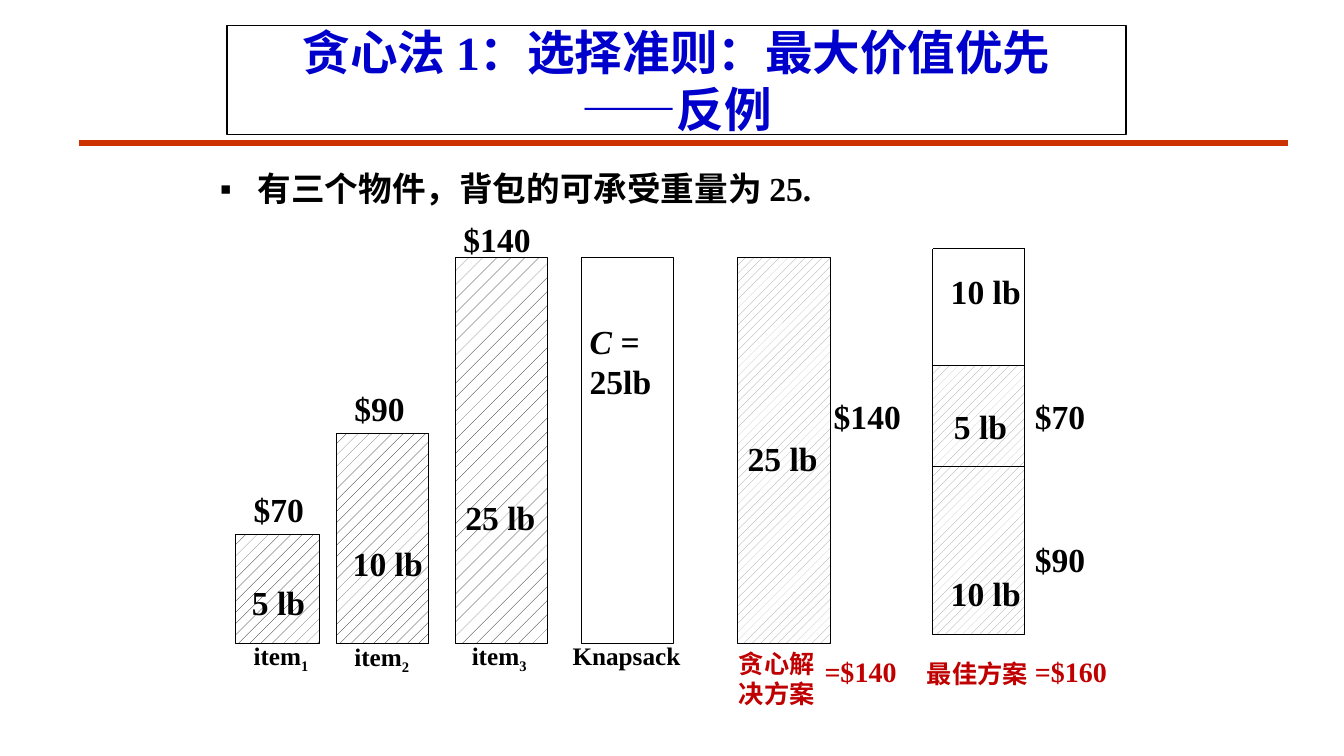
from lxml import etree
from pptx import Presentation
from pptx.dml.color import RGBColor
from pptx.enum.dml import MSO_PATTERN
from pptx.enum.shapes import MSO_CONNECTOR, MSO_SHAPE
from pptx.enum.text import MSO_ANCHOR, MSO_AUTO_SIZE, PP_ALIGN
from pptx.oxml.ns import qn
from pptx.util import Cm, Pt

RECTANGLE = MSO_SHAPE.RECTANGLE
STRAIGHT = MSO_CONNECTOR.STRAIGHT
SPARSE, LIGHT, DENSE = MSO_PATTERN.PERCENT_5, MSO_PATTERN.PERCENT_10, MSO_PATTERN.PERCENT_20
FONT = "Times New Roman"
COLORS = {
    "black": "000000",
    "white": "FFFFFF",
    "gray": "969696",
    "title": "0000CC",
    "rule": "CC3300",
    "result": "C00000",
}


def add_run(paragraph, text, size, color, italic=False):
    run = paragraph.add_run()
    run.text = text
    run.font.name = FONT
    run.font.size = Pt(size)
    run.font.bold = True
    run.font.italic = italic
    run.font.color.rgb = RGBColor.from_string(COLORS[color])
    return run


def add_line(slide, x1, y1, x2, y2, color, width):
    line = slide.shapes.add_connector(STRAIGHT, Cm(x1), Cm(y1), Cm(x2), Cm(y2))
    line.line.color.rgb = RGBColor.from_string(COLORS[color])
    line.line.width = Pt(width)
    etree.SubElement(line._element.spPr, qn("a:effectLst"))


presentation = Presentation()
presentation.slide_width = Cm(33.87)
presentation.slide_height = Cm(19.05)
slide = presentation.slides.add_slide(presentation.slide_layouts[1])

add_line(slide, 1.98, 3.61, 32.46, 3.61, "rule", 4.5)

title = slide.shapes.title
title.left, title.top, title.width, title.height = Cm(5.72), Cm(0.64), Cm(22.66), Cm(2.75)
title.line.color.rgb = RGBColor.from_string(COLORS["black"])
title.line.width = Pt(1)
title.text_frame.auto_size = MSO_AUTO_SIZE.NONE
title.text_frame.vertical_anchor = MSO_ANCHOR.MIDDLE
paragraph = title.text_frame.paragraphs[0]
paragraph.alignment = PP_ALIGN.CENTER
add_run(paragraph, "贪心法 1：选择准则：最大价值优先", 34, "title")
paragraph.add_line_break()
add_run(paragraph, "——反例", 34, "title")

body = slide.placeholders[1]
body.left, body.top, body.width, body.height = Cm(5.29), Cm(4.23), Cm(23.28), Cm(1.27)
body.text_frame.auto_size = MSO_AUTO_SIZE.NONE
paragraph = body.text_frame.paragraphs[0]
properties = paragraph._p.get_or_add_pPr()
properties.set("marL", str(Cm(0.95)))
properties.set("indent", str(Cm(-0.95)))
etree.SubElement(properties, qn("a:buChar")).set("char", "▪")
paragraph.line_spacing = 0.9
paragraph.space_before = Pt(0)
add_run(paragraph, "有三个物件，背包的可承受重量为 25.", 24, "black")

BAR_WIDTH = 2.33
BASELINE = 16.21
TALL = 9.73
BEST_LEFT, BEST_TOP, BEST_BOTTOM = 23.5, 6.27, 16
BEST_RIGHT = BEST_LEFT + BAR_WIDTH
bars = [
    (5.93, BASELINE, 2.12, 2.75, LIGHT, "black"),
    (8.47, BASELINE, BAR_WIDTH, 5.29, LIGHT, "black"),
    (11.48, BASELINE, BAR_WIDTH, TALL, SPARSE, "black"),
    (14.65, BASELINE, BAR_WIDTH, TALL, None, None),
    (18.59, BASELINE, BAR_WIDTH, TALL, DENSE, "gray"),
    (BEST_LEFT, BEST_BOTTOM, BAR_WIDTH, 6.78, DENSE, "gray"),
]
for left, bottom, width, height, pattern, color in bars:
    bar = slide.shapes.add_shape(RECTANGLE, Cm(left), Cm(bottom - height), Cm(width), Cm(height))
    bar.shadow.inherit = False
    bar.line.color.rgb = RGBColor.from_string(COLORS["black"])
    bar.line.width = Pt(0.75)
    if pattern is None:
        bar.fill.background()
    else:
        bar.fill.patterned()
        bar.fill.pattern = pattern
        bar.fill.fore_color.rgb = RGBColor.from_string(COLORS[color])
        bar.fill.back_color.rgb = RGBColor.from_string(COLORS["white"])

edges = [
    (18.59, BASELINE - TALL, 18.59 + BAR_WIDTH, BASELINE - TALL),
    (BEST_LEFT, BEST_TOP, BEST_RIGHT, BEST_TOP),
    (BEST_LEFT, 10.5, BEST_LEFT, BEST_TOP),
    (BEST_RIGHT, 10.5, BEST_RIGHT, BEST_TOP),
    (BEST_LEFT, 11.76, BEST_RIGHT, 11.76),
]
for edge in edges:
    add_line(slide, *edge, "black", 0.75)

HEIGHTS = {18: 1.02, 20: 1.12, 24: 1.27}
labels = [
    (["5 lb"], 6.1, 14.53, 1.85, 24, "black"),
    (["$70"], 6.14, 12.19, 1.78, 24, "black"),
    (["10 lb"], 8.64, 13.56, 2.29, 24, "black"),
    (["$90"], 8.68, 9.65, 1.78, 24, "black"),
    (["25 lb"], 11.48, 12.4, 2.29, 24, "black"),
    (["$140"], 11.43, 5.4, 2.21, 24, "black"),
    (["Knapsack"], 14.18, 16, 3.25, 18, "black"),
    (["25 lb"], 18.59, 10.92, 2.29, 24, "black"),
    (["$140"], 20.76, 9.86, 2.21, 24, "black"),
    (["10 lb"], 23.71, 6.69, 2.29, 24, "black"),
    (["5 lb"], 23.79, 10.1, 1.85, 24, "black"),
    (["$70"], 25.83, 9.86, 1.78, 24, "black"),
    (["10 lb"], 23.71, 14.31, 2.29, 24, "black"),
    (["$90"], 25.83, 13.46, 1.78, 24, "black"),
    (["贪心解", "决方案"], 18.37, 16.21, 2.44, 18, "result"),
    (["最佳方案"], 23.11, 16.46, 3.1, 18, "result"),
    (["=$140"], 20.53, 16.36, 2.34, 20, "result"),
    (["=$160"], 25.83, 16.38, 2.34, 20, "result"),
]
for lines, left, top, width, size, color in labels:
    height = HEIGHTS[size] * len(lines)
    label = slide.shapes.add_textbox(Cm(left), Cm(top), Cm(width), Cm(height))
    frame = label.text_frame
    frame.word_wrap = False
    frame.auto_size = MSO_AUTO_SIZE.SHAPE_TO_FIT_TEXT
    for index, text in enumerate(lines):
        paragraph = frame.add_paragraph() if index else frame.paragraphs[0]
        add_run(paragraph, text, size, color)

for number, left, top in [("1", 6.14, 16), ("2", 8.68, 16.03), ("3", 11.64, 16)]:
    item = slide.shapes.add_textbox(Cm(left), Cm(top), Cm(1.93), Cm(HEIGHTS[18]))
    item.text_frame.word_wrap = False
    item.text_frame.auto_size = MSO_AUTO_SIZE.SHAPE_TO_FIT_TEXT
    paragraph = item.text_frame.paragraphs[0]
    add_run(paragraph, "item", 18, "black")
    subscript = add_run(paragraph, number, 18, "black")
    subscript._r.get_or_add_rPr().set("baseline", "-25000")

capacity = slide.shapes.add_textbox(Cm(14.61), Cm(7.95), Cm(BAR_WIDTH), Cm(2.3))
capacity.text_frame.word_wrap = True
capacity.text_frame.auto_size = MSO_AUTO_SIZE.SHAPE_TO_FIT_TEXT
paragraph = capacity.text_frame.paragraphs[0]
add_run(paragraph, "C = ", 24, "black", italic=True)
add_run(paragraph, "25lb", 24, "black")

presentation.save("out.pptx")
